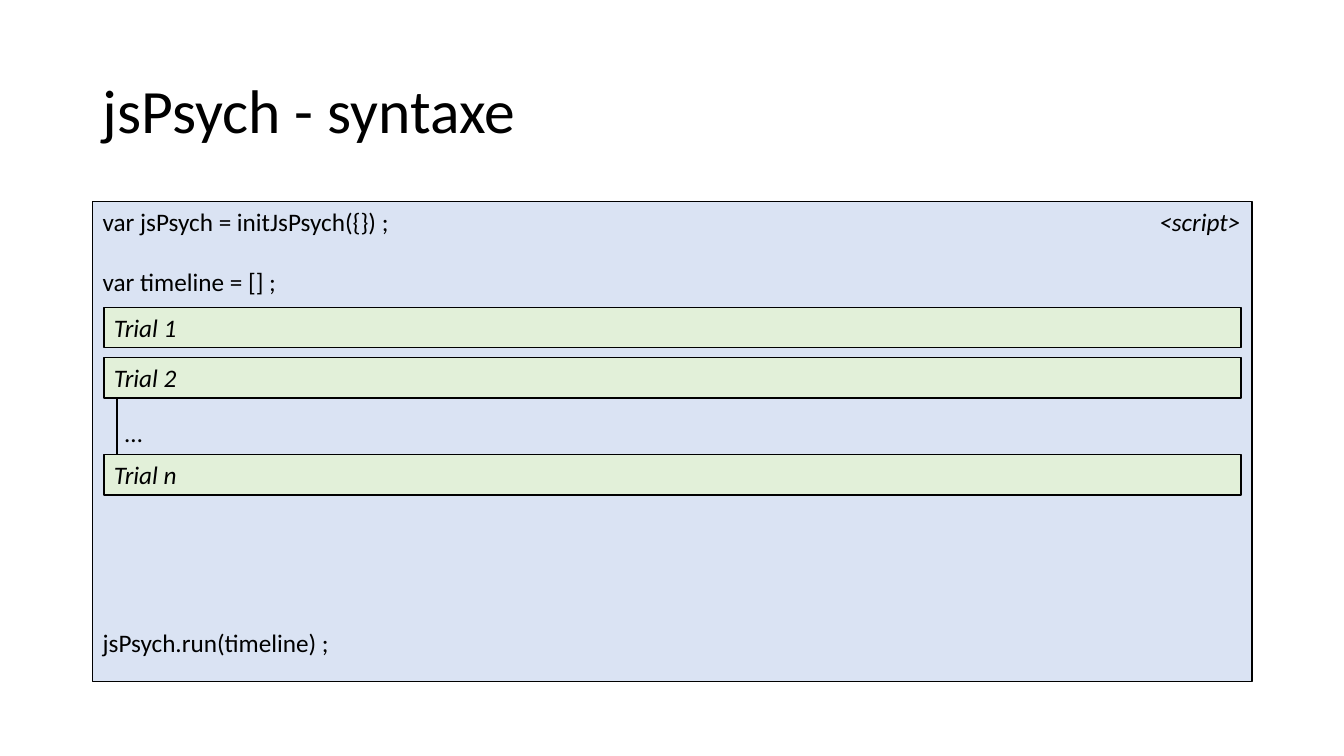
from dataclasses import dataclass

from lxml.etree import SubElement
from pptx import Presentation
from pptx.dml.color import RGBColor
from pptx.enum.shapes import MSO_CONNECTOR, MSO_SHAPE
from pptx.enum.text import MSO_ANCHOR, MSO_AUTO_SIZE, PP_ALIGN
from pptx.oxml.ns import qn
from pptx.util import Inches, Pt


@dataclass(frozen=True)
class Theme:
    font: str = "Calibri"
    ink: RGBColor = RGBColor(0, 0, 0)
    panel: RGBColor = RGBColor(0xDA, 0xE3, 0xF3)
    trial: RGBColor = RGBColor(0xE2, 0xF0, 0xD9)
    head: Pt = Pt(44)
    body: Pt = Pt(18)
    rule: Pt = Pt(1)


THEME = Theme()
# text, space before in points, indent in inches
CODE = [
    ("var jsPsych = initJsPsych({}) ;", 0, 0),
    ("var timeline = [] ;", 21, 0),
    ("…", 86, 0.22),
    ("jsPsych.run(timeline) ;", 129, 0),
]
TRIALS = [("Trial 1", 1.05), ("Trial 2", 1.55), ("Trial n", 2.51)]
BAR = 0.4


def style(para, size=THEME.body, italic=False):
    para.alignment = PP_ALIGN.LEFT
    font = para.font
    font.name, font.size, font.italic = THEME.font, size, italic
    font.color.rgb = THEME.ink


def add_box(slide, box, fill):
    shape = slide.shapes.add_shape(MSO_SHAPE.RECTANGLE, *map(Inches, box))
    shape.shadow.inherit = False
    shape.fill.solid()
    shape.fill.fore_color.rgb = fill
    shape.line.color.rgb = THEME.ink
    shape.line.width = THEME.rule
    shape.text_frame.word_wrap = True
    shape.text_frame.vertical_anchor = MSO_ANCHOR.TOP
    return shape.text_frame


def add_title(slide, box, text):
    title = slide.shapes.title
    title.left, title.top, title.width, title.height = map(Inches, box)
    frame = title.text_frame
    frame.text = text
    frame.vertical_anchor = MSO_ANCHOR.MIDDLE
    para = frame.paragraphs[0]
    para.line_spacing = 0.9
    style(para, THEME.head)


def add_code(slide, box):
    frame = add_box(slide, box, THEME.panel)
    frame.text = "\n".join(text for text, _, _ in CODE)
    for para, (_, gap, indent) in zip(frame.paragraphs, CODE):
        style(para)
        if gap:
            para.space_before = Pt(gap)
        if indent:
            para._p.get_or_add_pPr().set("marL", str(Inches(indent)))


def add_tag(slide, box, text):
    frame = slide.shapes.add_textbox(*map(Inches, box)).text_frame
    frame.word_wrap = False
    frame.auto_size = MSO_AUTO_SIZE.SHAPE_TO_FIT_TEXT
    frame.text = text
    style(frame.paragraphs[0], italic=True)


def add_trials(slide, box):
    """Stack the trial bars in the panel and link the last two."""
    left, top, width, _ = box
    for text, drop in TRIALS:
        bar = (left + 0.11, top + drop, width - 0.22, BAR)
        frame = add_box(slide, bar, THEME.trial)
        frame.text = text
        style(frame.paragraphs[0], italic=True)
    x = Inches(left + 0.24)
    start, end = TRIALS[1][1] + BAR, TRIALS[2][1]
    link = slide.shapes.add_connector(
        MSO_CONNECTOR.STRAIGHT, x, Inches(top + start), x, Inches(top + end))
    link.line.color.rgb = THEME.ink
    link.line.width = THEME.rule
    SubElement(link._element.spPr, qn("a:effectLst"))


def main():
    deck = Presentation()
    deck.slide_width, deck.slide_height = Inches(13.33), Inches(7.5)
    slide = deck.slides.add_slide(deck.slide_layouts[5])
    panel = (0.92, 2, 11.5, 4.76)
    left, top, width, _ = panel
    add_title(slide, (left, 0.4, width, 1.45), "jsPsych - syntaxe")
    add_code(slide, panel)
    add_tag(slide, (left + width - 1.02, top, 1.02, 0.4), "<script>")
    add_trials(slide, panel)
    deck.save("out.pptx")


if __name__ == "__main__":
    main()
